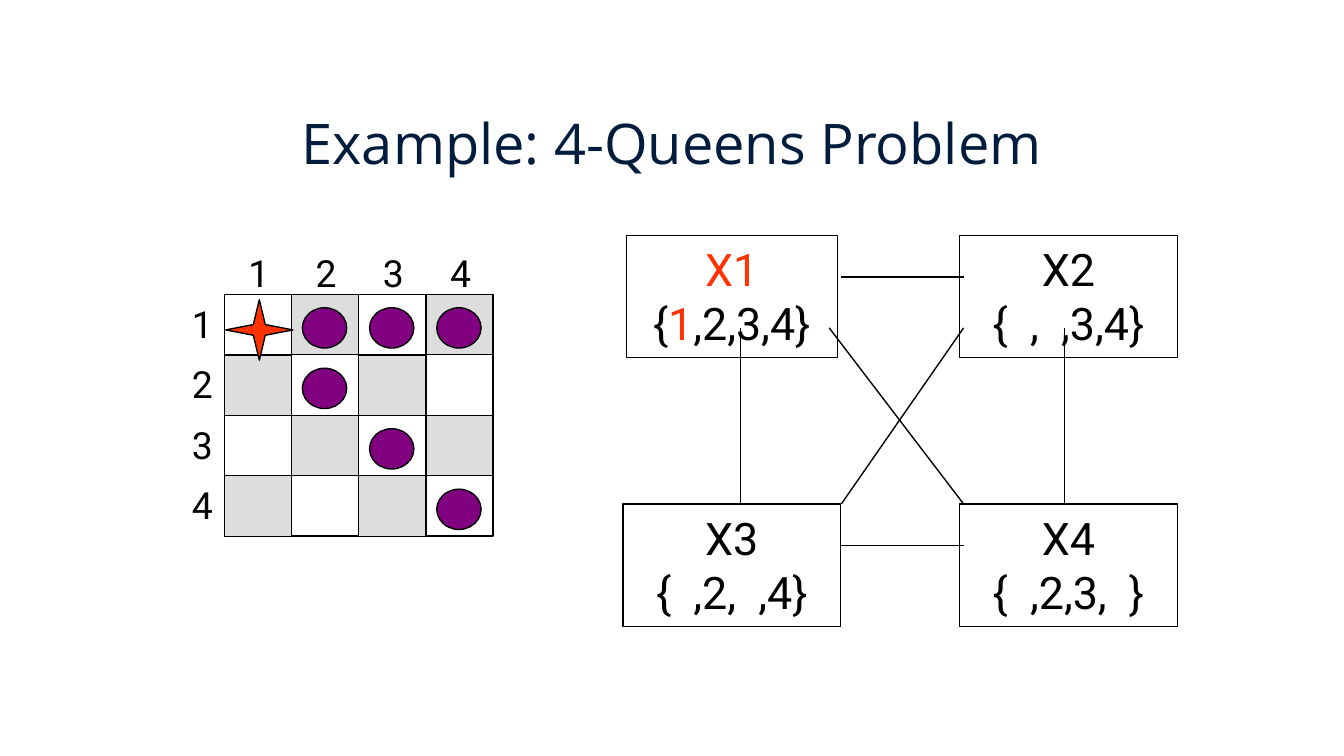
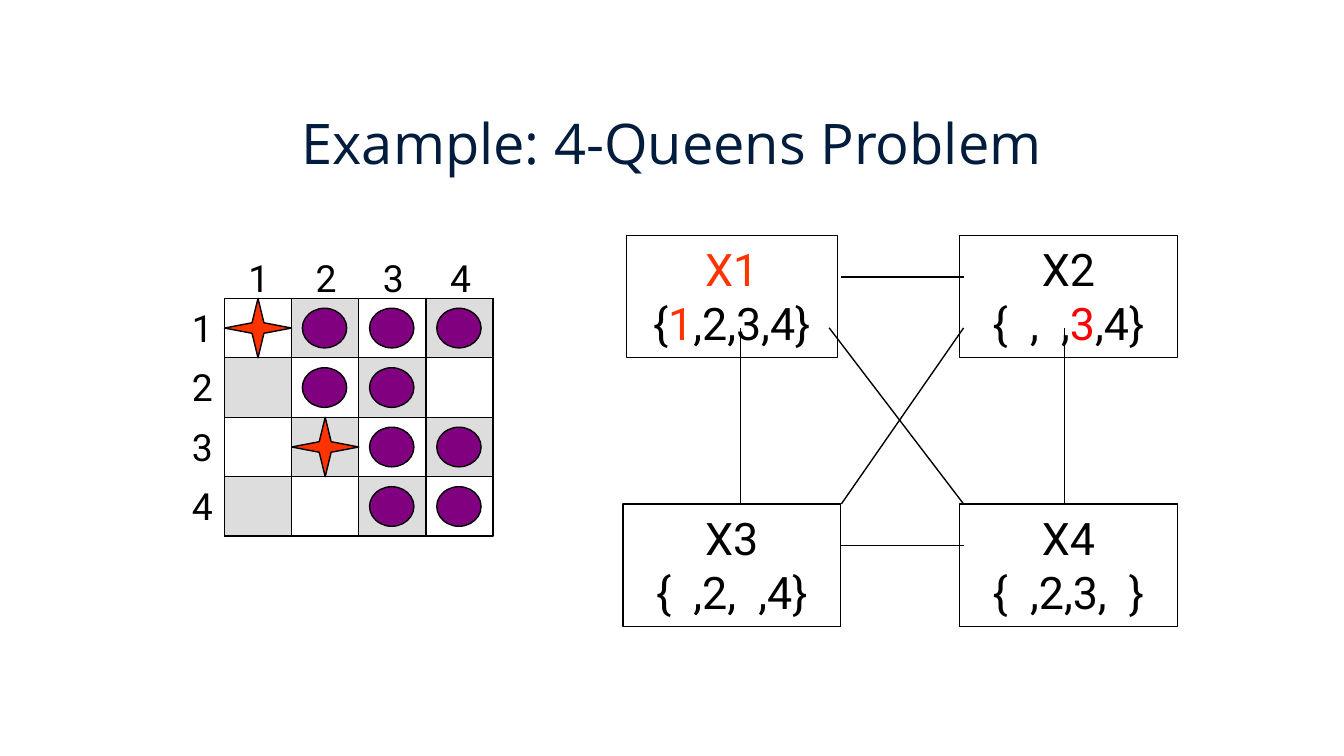
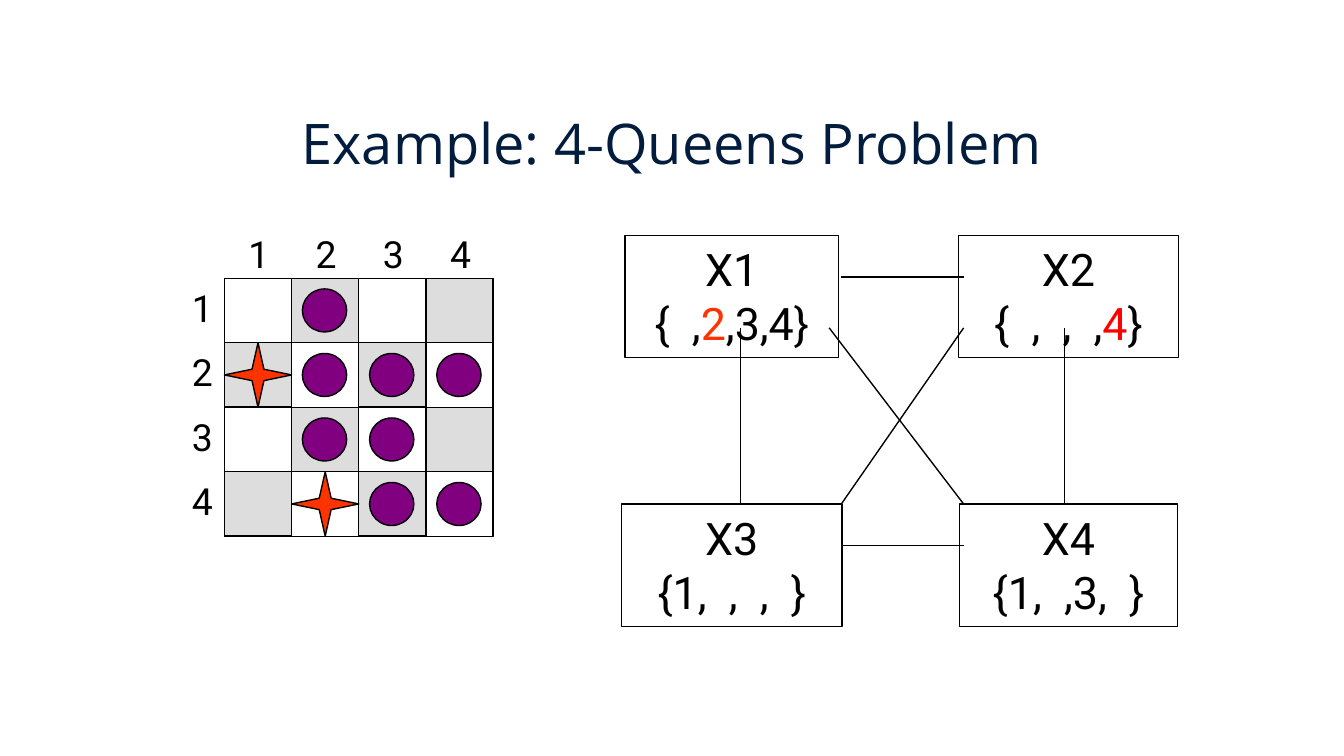
from lxml.etree import SubElement
from pptx import Presentation
from pptx.dml.color import RGBColor
from pptx.enum.shapes import MSO_CONNECTOR, MSO_SHAPE
from pptx.enum.text import MSO_ANCHOR, MSO_AUTO_SIZE, PP_ALIGN
from pptx.oxml.ns import qn
from pptx.util import Emu, Pt

# Shared style: 200 px to the inch
PX = 4572
NAVY = RGBColor(0x01, 0x1C, 0x3C)
BLACK = RGBColor(0x00, 0x00, 0x00)
GREY = RGBColor(0xDD, 0xDD, 0xDD)
ORANGE = RGBColor(0xFF, 0x33, 0x00)
RED = RGBColor(0xFF, 0x00, 0x00)
PURPLE = RGBColor(0x80, 0x00, 0x80)
TITLE_FONT = "Open Sans"
BODY_FONT = "Roboto"

# Board and constraint graph geometry
BOARD_LEFT, BOARD_BOTTOM, CELL_WIDTH, SIZE = 334, 798, 100, 4
NODE_HEIGHT = 182
NODE_CENTERS = {"X1": (1089, 350), "X3": (1089, 750),
                "X4": (1590, 750), "X2": (1590, 350)}
EDGES = [(1252, 412, 1434, 412), (1102, 488, 1102, 750),
         (1252, 812, 1434, 812), (1584, 488, 1584, 750),
         (1234, 488, 1434, 750), (1434, 488, 1252, 750)]


def emu(length):
    return Emu(round(length * PX))


class SlideBuilder:
    def __init__(self):
        self.deck = Presentation()
        self.deck.slide_width, self.deck.slide_height = emu(2000), emu(1125)
        self.page = None

    def new_page(self, title):
        self.page = self.deck.slides.add_slide(self.deck.slide_layouts[6])
        box = self.page.shapes.add_textbox(*map(emu, (100, 158, 1800, 150)))
        frame = box.text_frame
        frame.word_wrap = True
        frame.margin_top = emu(4)
        self.add_runs(frame.paragraphs[0], [(title, NAVY)], 30, TITLE_FONT)

    def add_runs(self, para, runs, size, font=BODY_FONT, align=PP_ALIGN.CENTER):
        para.alignment = align
        for text, color in runs:
            span = para.add_run()
            span.text = text
            span.font.size = Pt(size)
            span.font.name = font
            span.font.color.rgb = color

    def fit(self, frame):
        frame.word_wrap = False
        frame.auto_size = MSO_AUTO_SIZE.SHAPE_TO_FIT_TEXT
        frame.vertical_anchor = MSO_ANCHOR.TOP

    def shape(self, kind, left, top, width, height, fill=None):
        shape = self.page.shapes.add_shape(kind, *map(emu, (left, top, width, height)))
        shape.shadow.inherit = False
        if fill is None:
            shape.fill.background()
        else:
            shape.fill.solid()
            shape.fill.fore_color.rgb = fill
        shape.line.color.rgb = BLACK
        shape.line.width = Pt(0.75)
        return shape

    def label(self, text, left, top, height):
        box = self.page.shapes.add_textbox(*map(emu, (left, top, 70, height)))
        self.fit(box.text_frame)
        self.add_runs(box.text_frame.paragraphs[0], [(text, BLACK)], 20, align=PP_ALIGN.LEFT)

    def edge(self, *ends):
        line = self.page.shapes.add_connector(MSO_CONNECTOR.STRAIGHT, *map(emu, ends))
        line.line.color.rgb = BLACK
        line.line.width = Pt(0.75)
        SubElement(line._element.spPr, qn("a:effectLst"))

    def node(self, name, width, name_color, domain):
        center, top = NODE_CENTERS[name]
        box = self.shape(MSO_SHAPE.RECTANGLE, center - width / 2, top, width, NODE_HEIGHT)
        frame = box.text_frame
        self.fit(frame)
        self.add_runs(frame.paragraphs[0], [(name, name_color)], 24)
        self.add_runs(frame.add_paragraph(), domain, 24)

    def graph(self, nodes):
        for node in nodes:
            self.node(*node)
        for ends in EDGES:
            self.edge(*ends)

    def board(self, top):
        cell = (BOARD_BOTTOM - top) / SIZE
        self.shape(MSO_SHAPE.RECTANGLE, BOARD_LEFT, top, CELL_WIDTH * SIZE, cell * SIZE)
        for row in range(SIZE):
            for column in range(SIZE):
                if (row + column) % 2:
                    self.shape(MSO_SHAPE.RECTANGLE, BOARD_LEFT + column * CELL_WIDTH,
                               top + row * cell, CELL_WIDTH, cell, GREY)
        for index in range(SIZE):
            text = str(index + 1)
            self.label(text, 266, top + index * cell, cell * 1.16)
            self.label(text, BOARD_LEFT + 16 + index * CELL_WIDTH,
                       top - cell * 5 / 6, cell * 1.16)

    def marks(self, top, rows, queen_shift=(0, 0), disc_drop=0):
        """Q is a queen, x is an attacked square."""
        cell = (BOARD_BOTTOM - top) / SIZE
        for row, squares in enumerate(rows):
            for column, square in enumerate(squares):
                left, upper = BOARD_LEFT + column * CELL_WIDTH, top + row * cell
                if square == "Q":
                    star = self.shape(MSO_SHAPE.STAR_4_POINT, left + queen_shift[0],
                                      upper + queen_shift[1], CELL_WIDTH, cell, ORANGE)
                    star.adjustments[0] = 0.125
                elif square == "x":
                    self.shape(MSO_SHAPE.OVAL, left + 16, upper + cell / 6 + disc_drop,
                               66, cell * 2 / 3, PURPLE)


def main():
    builder = SlideBuilder()
    title = "Example: 4-Queens Problem"
    x1_first = ("X1", 314, ORANGE, [("{", BLACK), ("1", ORANGE), (",2,3,4}", BLACK)])
    x3_first = ("X3", 324, BLACK, [("{  ,2,  ,4}", BLACK)])
    x4_first = ("X4", 324, BLACK, [("{  ,2,3,  }", BLACK)])

    # Slide 1: first queen in row 1
    builder.new_page(title)
    builder.board(438)
    builder.graph([x1_first, x3_first, x4_first,
                   ("X2", 324, BLACK, [("{  ,  ,3,4}", BLACK)])])
    builder.marks(438, ["Qxxx", ".x..", "..x.", "...x"], queen_shift=(2, 8), disc_drop=5)

    # Slide 2: second queen in row 3
    builder.new_page(title)
    builder.graph([x1_first, x3_first, x4_first,
                   ("X2", 324, BLACK, [("{  ,  ,", BLACK), ("3", RED), (",4}", BLACK)])])
    builder.board(444)
    builder.marks(444, ["Qxxx", ".xx.", ".Qxx", "..xx"])

    # Slide 3: first queen moved to row 2, second queen in row 4
    builder.new_page(title)
    builder.graph([
        ("X1", 318, BLACK, [("{  ,", BLACK), ("2", ORANGE), (",3,4}", BLACK)]),
        ("X3", 328, BLACK, [("{1,  ,  ,  }", BLACK)]),
        ("X4", 324, BLACK, [("{1,  ,3,  }", BLACK)]),
        ("X2", 328, BLACK, [("{  ,  ,  ,", BLACK), ("4", RED), ("}", BLACK)]),
    ])
    builder.board(414)
    builder.marks(414, [".x..", "Qxxx", ".xx.", ".Qxx"])

    builder.deck.save("out.pptx")


if __name__ == "__main__":
    main()
